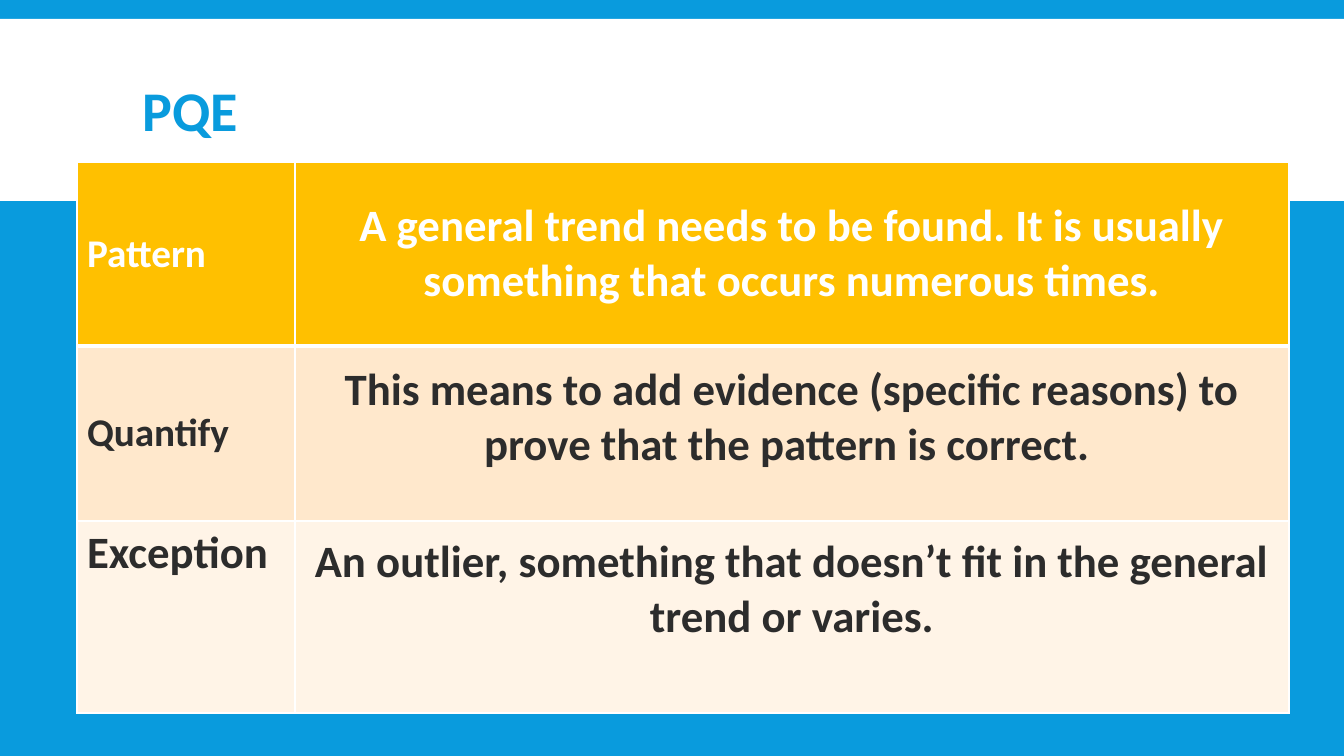
from pptx import Presentation
from pptx.dml.color import RGBColor
from pptx.enum.shapes import MSO_SHAPE
from pptx.enum.text import MSO_ANCHOR, PP_ALIGN
from pptx.oxml import parse_xml
from pptx.oxml.ns import nsdecls
from pptx.util import Emu, Pt

RECT = MSO_SHAPE.RECTANGLE
TOP, MIDDLE = MSO_ANCHOR.TOP, MSO_ANCHOR.MIDDLE
LEFT, CENTER = PP_ALIGN.LEFT, PP_ALIGN.CENTER

BLUE = RGBColor(0x09, 0x9B, 0xDD)
WHITE = RGBColor(0xFF, 0xFF, 0xFF)
DARK = RGBColor(0x2C, 0x2C, 0x2C)
GOLD = RGBColor(0xFF, 0xC0, 0x00)
PEACH = RGBColor(0xFF, 0xE8, 0xCC)
CREAM = RGBColor(0xFF, 0xF4, 0xE7)


def px(n):
    return Emu(round(n * 914400 / 100.8))


class Deck:
    font = "Calibri"

    def __init__(self, width, height, background):
        self.prs = Presentation()
        self.prs.slide_width, self.prs.slide_height = px(width), px(height)
        self.slide = self.prs.slides.add_slide(self.prs.slide_layouts[6])
        fill = self.slide.background.fill
        fill.solid()
        fill.fore_color.rgb = background

    def rect(self, x, y, w, h, color):
        sp = self.slide.shapes.add_shape(RECT, px(x), px(y), px(w), px(h))
        sp.shadow.inherit = False
        sp.fill.solid()
        sp.fill.fore_color.rgb = color
        sp.line.fill.background()

    def run(self, p, text, size, color):
        r = p.add_run()
        r.text = text
        r.font.name = self.font
        r.font.size = Pt(size)
        r.font.bold = True
        r.font.color.rgb = color

    def title(self, x, y, w, h, text, size, color):
        tf = self.slide.shapes.add_textbox(px(x), px(y), px(w), px(h)).text_frame
        tf.word_wrap = True
        tf.vertical_anchor = MIDDLE
        p = tf.paragraphs[0]
        p.line_spacing = 0.85
        self.run(p, text, size, color)

    def table(self, x, y, widths, heights):
        frame = self.slide.shapes.add_table(
            len(heights), len(widths), px(x), px(y), px(sum(widths)), px(sum(heights)))
        table = frame.table
        table.first_row = table.horz_banding = False
        for column, width in zip(table.columns, widths):
            column.width = px(width)
        for row, height in zip(table.rows, heights):
            row.height = px(height)
        return table

    def cell(self, cell, text, size, color, fill, align, anchor, bottom, borders):
        tcPr = cell._tc.get_or_add_tcPr()
        for side, width in borders.items():
            tcPr.append(parse_xml(
                f'<a:ln{side} {nsdecls("a")} w="{Pt(width)}"><a:solidFill>'
                f'<a:srgbClr val="{WHITE}"/></a:solidFill></a:ln{side}>'))
        cell.fill.solid()
        cell.fill.fore_color.rgb = fill
        cell.vertical_anchor = anchor
        cell.margin_bottom = px(bottom)
        p = cell.text_frame.paragraphs[0]
        p.alignment = align
        self.run(p, text, size, color)


def main():
    deck = Deck(1344, 756, BLUE)
    deck.rect(0, 19, 1344, 182, WHITE)
    deck.title(133, 31, 1079, 166, "PQE", 40, BLUE)

    rows = [
        ("Pattern", 28, MIDDLE, 5, WHITE, GOLD, 1, 3,
         "A general trend needs to be found. It is usually something that occurs numerous times."),
        ("Quantify", 28, MIDDLE, 37, DARK, PEACH, 3, 1,
         "This means to add evidence (specific reasons) to prove that the pattern is correct. "),
        ("Exception", 32, TOP, 59, DARK, CREAM, 1, 1,
         "An outlier, something that doesn’t fit in the general trend or varies."),
    ]
    table = deck.table(77, 162, [218, 994], [184, 175, 192])
    for i, (term, size, anchor, bottom, color, fill, above, below, meaning) in enumerate(rows):
        borders = {"L": 1, "R": 1, "T": above, "B": below}
        deck.cell(table.cell(i, 0), term, size, color, fill, LEFT, anchor, 5, borders)
        deck.cell(table.cell(i, 1), meaning, 32, color, fill, CENTER, MIDDLE, bottom, borders)

    deck.prs.save("out.pptx")


if __name__ == "__main__":
    main()
